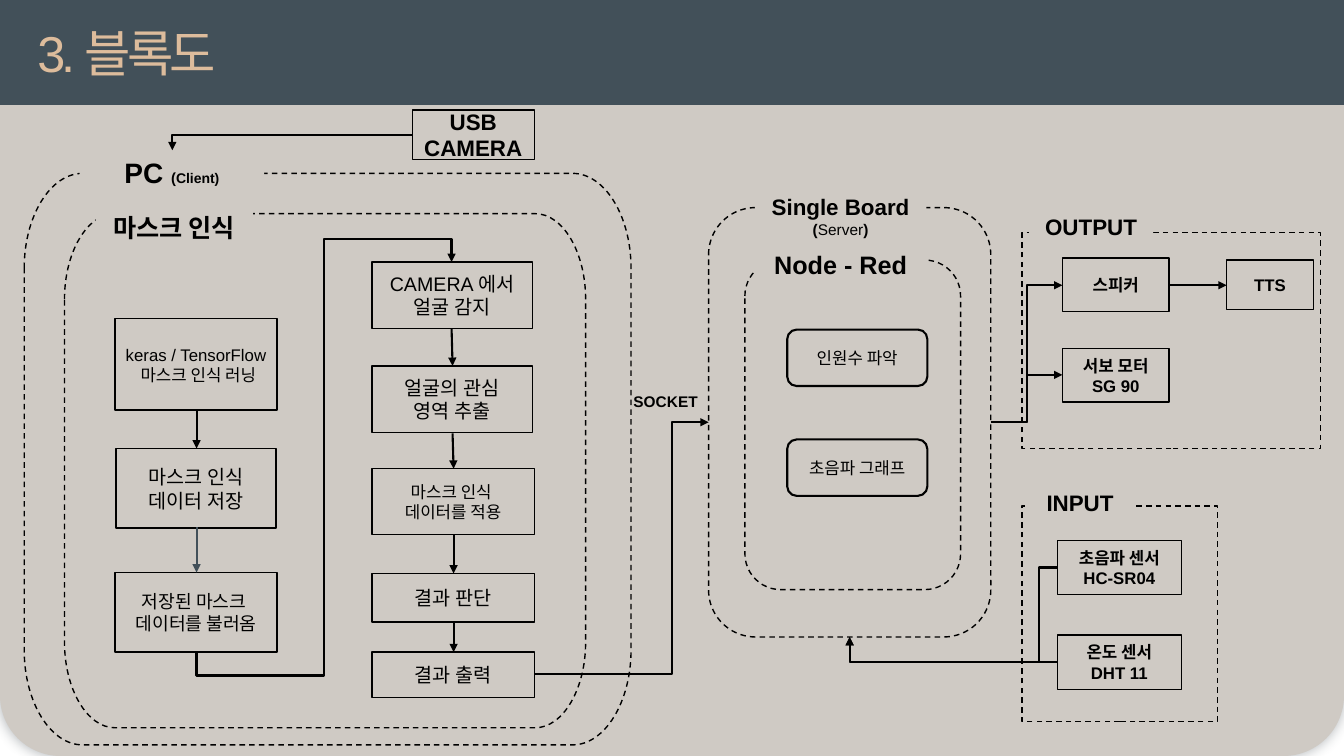
from dataclasses import dataclass
from typing import Optional

from lxml.etree import SubElement
from pptx import Presentation
from pptx.dml.color import RGBColor
from pptx.enum.dml import MSO_LINE
from pptx.enum.shapes import MSO_CONNECTOR, MSO_SHAPE
from pptx.enum.text import MSO_ANCHOR, MSO_AUTO_SIZE, PP_ALIGN
from pptx.oxml.ns import qn
from pptx.util import Inches, Pt

SAND, SLATE, PEACH, BLACK = "CFCAC4", "425059", "DDBC9C", "000000"
RECT, ROUND = MSO_SHAPE.RECTANGLE, MSO_SHAPE.ROUNDED_RECTANGLE
SLIDE_W, SLIDE_H = 40 / 3, 7.5


@dataclass
class Span:
    text: str
    size: float
    bold: bool = True


@dataclass
class Block:
    text: str
    x: float
    y: float
    w: float
    h: float
    size: float = 12
    bold: bool = False
    kind: MSO_SHAPE = RECT
    line_width: float = 1


@dataclass
class Label:
    text: str
    x: float
    y: float
    w: float
    h: float
    size: float
    tail: tuple[Span, ...] = ()


@dataclass
class Arrow:
    start: tuple[float, float]
    end: tuple[float, float]
    bends: tuple[float, ...] = ()
    preset: Optional[str] = None
    color: str = BLACK
    vertical_start: bool = False


def paint(color_format, color: str) -> None:
    color_format.rgb = RGBColor.from_string(color)


def style_run(run, size: float, bold: bool, color: str) -> None:
    run.font.name, run.font.size, run.font.bold = "Arial", Pt(size), bold
    paint(run.font.color, color)


def write(shape, text: str, *, size: float, bold: bool = False, color: str = BLACK,
          align=PP_ALIGN.CENTER, anchor=MSO_ANCHOR.MIDDLE,
          tail: tuple[Span, ...] = (), grow: bool = False) -> None:
    """A newline starts a paragraph; a vertical tab breaks the line."""
    frame = shape.text_frame
    frame.word_wrap = True
    frame.vertical_anchor = anchor
    frame.auto_size = MSO_AUTO_SIZE.SHAPE_TO_FIT_TEXT if grow else MSO_AUTO_SIZE.NONE
    frame.text = text
    for paragraph in frame.paragraphs:
        paragraph.alignment = align
        for run in paragraph.runs:
            style_run(run, size, bold, color)
    for span in tail:
        run = frame.paragraphs[-1].add_run()
        run.text = span.text
        style_run(run, span.size, span.bold, color)


def add_box(shapes, kind, x: float, y: float, w: float, h: float, *, fill: str = SAND,
            line_width: float = 0, dashed: bool = False):
    box = shapes.add_shape(kind, Inches(x), Inches(y), Inches(w), Inches(h))
    box.fill.solid()
    paint(box.fill.fore_color, fill)
    outline(box, line_width, dashed)
    return box


def outline(shape, width: float, dashed: bool = False) -> None:
    shape.shadow.inherit = False
    if not width:
        shape.line.fill.background()
        return
    paint(shape.line.color, BLACK)
    shape.line.width = Pt(width)
    if dashed:
        shape.line.dash_style = MSO_LINE.DASH


def add_loop(shapes, x: float, y: float, w: float, h: float, rx: float, ry: float) -> None:
    """Dashed frame whose elliptical corners are one curve each."""
    right, bottom, cx, cy = x + w, y + h, rx * 0.45, ry * 0.45
    corners = [
        (x, y + ry), (x, y + cy), (x + cx, y), (x + rx, y),
        (right - rx, y), (right - cx, y), (right, y + cy), (right, y + ry),
        (right, bottom - ry), (right, bottom - cy), (right - cx, bottom), (right - rx, bottom),
        (x + rx, bottom), (x + cx, bottom), (x, bottom - cy), (x, bottom - ry),
    ]
    points = [(Inches(px), Inches(py)) for px, py in corners]
    builder = shapes.build_freeform(*points[0])
    builder.add_line_segments(points[1:], close=True)
    loop = builder.convert_to_shape()
    segments = list(loop.element.iter(qn("a:lnTo")))
    for first in range(0, len(points), 4):
        curve = SubElement(segments[first].getparent(), qn("a:cubicBezTo"))
        segments[first].addprevious(curve)
        for segment in segments[first:first + 3]:
            curve.append(segment[0])
            segment.getparent().remove(segment)
    loop.fill.background()
    outline(loop, 1, dashed=True)


def add_arrow(shapes, arrow: Arrow) -> None:
    (x1, y1), (x2, y2) = arrow.start, arrow.end
    if arrow.vertical_start:  # lay the route out before its quarter turn
        cx, cy, dx, dy = (x1 + x2) / 2, (y1 + y2) / 2, x2 - x1, y2 - y1
        x1, y1, x2, y2 = cx - dy / 2, cy + dx / 2, cx + dy / 2, cy - dx / 2
    kind = MSO_CONNECTOR.ELBOW if arrow.preset else MSO_CONNECTOR.STRAIGHT
    link = shapes.add_connector(kind, Inches(x1), Inches(y1), Inches(x2), Inches(y2))
    paint(link.line.color, arrow.color)
    link.line.width = Pt(1.5)
    properties = link.element.spPr
    if arrow.vertical_start:
        properties.find(qn("a:xfrm")).set("rot", "5400000")
    if arrow.preset:
        geometry = properties.find(qn("a:prstGeom"))
        geometry.set("prst", arrow.preset)
        guides = geometry.find(qn("a:avLst"))
        for number, bend in enumerate(arrow.bends, 1):
            SubElement(guides, qn("a:gd"), name=f"adj{number}", fmla=f"val {round(bend * 100000)}")
    SubElement(properties.find(qn("a:ln")), qn("a:tailEnd"), type="triangle")
    SubElement(properties, qn("a:effectLst"))


LABELS = [
    Label("마스크 인식", 0.95, 2.06, 1.56, 0.35, 18),
    Label("PC ", 0.79, 1.49, 1.83, 0.44, 20, (Span("(", 10.5), Span("Client)", 10))),
    Label("Node - Red", 7.49, 2.42, 1.7, 0.4, 18),
    Label("Single Board ", 7.49, 1.87, 1.7, 0.57, 16,
          (Span("(", 11), Span("Server", 11, False), Span(")", 11))),
    Label("OUTPUT", 10.21, 2.07, 1.23, 0.37, 16),
    Label("INPUT", 10.2, 4.8, 1.03, 0.37, 16),
]
BLOCKS = [
    Block("USB CAMERA", 4.09, 1.09, 1.21, 0.49, 16, True),
    # Learning column
    Block("keras / TensorFlow\v 마스크 인식 러닝", 1.14, 3.16, 1.61, 0.91),
    Block("마스크 인식\v데이터 저장", 1.15, 4.45, 1.59, 0.79, 14),
    Block("저장된 마스크 \v데이터를 불러옴", 1.14, 5.68, 1.61, 0.79, 13),
    # Detection column
    Block("CAMERA 에서\v얼굴 감지", 3.69, 2.6, 1.59, 0.66, 14),
    Block("얼굴의 관심\v영역 추출", 3.69, 3.63, 1.59, 0.66, 14),
    Block("마스크 인식 \v데이터를 적용", 3.69, 4.65, 1.61, 0.65),
    Block("결과 판단", 3.69, 5.69, 1.61, 0.48, 14),
    Block("결과 출력", 3.69, 6.47, 1.61, 0.45, 14),
    # Server, output and input
    Block("인원수 파악", 7.81, 3.27, 1.39, 0.56, kind=ROUND, line_width=1.5),
    Block("초음파 그래프", 7.81, 4.36, 1.39, 0.56, kind=ROUND, line_width=1.5),
    Block("스피커", 10.54, 2.56, 1.06, 0.53, bold=True),
    Block("서보 모터\vSG 90", 10.54, 3.46, 1.06, 0.53, bold=True),
    Block("TTS", 12.17, 2.58, 0.86, 0.49, bold=True),
    Block("초음파 센서\nHC-SR04", 10.49, 5.36, 1.23, 0.54, bold=True),
    Block("온도 센서\nDHT 11", 10.49, 6.3, 1.23, 0.54, bold=True),
]
ARROWS = [
    Arrow((1.95, 4.07), (1.95, 4.45)),
    Arrow((1.95, 5.23), (1.95, 5.68), color=SLATE),
    Arrow((4.48, 3.26), (4.49, 3.63)),
    Arrow((4.49, 4.3), (4.5, 4.65)),
    Arrow((4.5, 5.3), (4.5, 5.69)),
    Arrow((4.5, 6.17), (4.5, 6.47)),
    Arrow((11.6, 2.83), (12.17, 2.83)),
    Arrow((4.09, 1.34), (1.71, 1.49), preset="bentConnector2"),
    Arrow((1.95, 6.47), (4.48, 2.6), (-0.06, 0.5, 1.06), "bentConnector5", vertical_start=True),
    Arrow((5.31, 6.69), (7.03, 4.19), (0.79,), "bentConnector3"),
    Arrow((9.83, 4.19), (10.54, 2.83), (0.5,), "bentConnector3"),
    Arrow((9.83, 4.19), (10.54, 3.72), (0.5,), "bentConnector3"),
    Arrow((10.49, 5.63), (8.43, 6.32), (0.09, 1.36), "bentConnector4"),
    Arrow((10.49, 6.57), (8.43, 6.32), preset="bentConnector2"),
]


def main() -> None:
    deck = Presentation()
    deck.slide_width, deck.slide_height = Inches(SLIDE_W), Inches(SLIDE_H)
    shapes = deck.slides.add_slide(deck.slide_layouts[5]).shapes

    # Backdrop and header band
    backdrop = add_box(shapes, ROUND, 0, 0, SLIDE_W, SLIDE_H)
    backdrop.adjustments[0] = 0.08
    effects = backdrop.element.spPr.find(qn("a:effectLst"))
    shadow = SubElement(effects, qn("a:outerShdw"), blurRad=str(Pt(10)), dist=str(Pt(1)), dir="2700000")
    shade = SubElement(shadow, qn("a:srgbClr"), val="323C43")
    SubElement(shade, qn("a:alpha"), val="40000")
    add_box(shapes, RECT, 0, 0, SLIDE_W, 1.04, fill=SLATE)

    # Title, raised above the band
    title = shapes.title
    title.left, title.top, title.width, title.height = map(Inches, (0.27, 0.17, 5.72, 0.71))
    write(title, "3. 블록도", size=36, color=PEACH, align=PP_ALIGN.LEFT,
          anchor=MSO_ANCHOR.TOP, grow=True)
    for properties in title.element.iter(qn("a:rPr")):
        properties.set("spc", "-300")
    shapes.element.append(title.element)

    # Dashed frames
    for kind, *place in ((ROUND, 7.03, 2.06, 2.8, 4.26), (ROUND, 7.39, 2.58, 2.14, 3.27),
                         (RECT, 10.14, 2.31, 2.96, 2.14), (RECT, 10.14, 5.02, 1.94, 2.14)):
        add_box(shapes, kind, *place, line_width=1, dashed=True)
    add_loop(shapes, 0.24, 1.72, 6.02, 5.67, 0.58, 0.94)
    add_loop(shapes, 0.64, 2.12, 5.17, 5.1, 0.5, 0.85)

    # Frame labels, blocks and arrows
    for label in LABELS:
        tag = add_box(shapes, RECT, label.x, label.y, label.w, label.h)
        write(tag, label.text, size=label.size, bold=True, anchor=MSO_ANCHOR.TOP,
              tail=label.tail, grow=True)
    socket = shapes.add_textbox(Inches(5.99), Inches(3.84), Inches(1.27), Inches(0.29))
    write(socket, "SOCKET ", size=11, bold=True, anchor=MSO_ANCHOR.TOP, grow=True)
    for block in BLOCKS:
        box = add_box(shapes, block.kind, block.x, block.y, block.w, block.h,
                      line_width=block.line_width)
        write(box, block.text, size=block.size, bold=block.bold)
    for arrow in ARROWS:
        add_arrow(shapes, arrow)

    deck.save("out.pptx")


if __name__ == "__main__":
    main()
